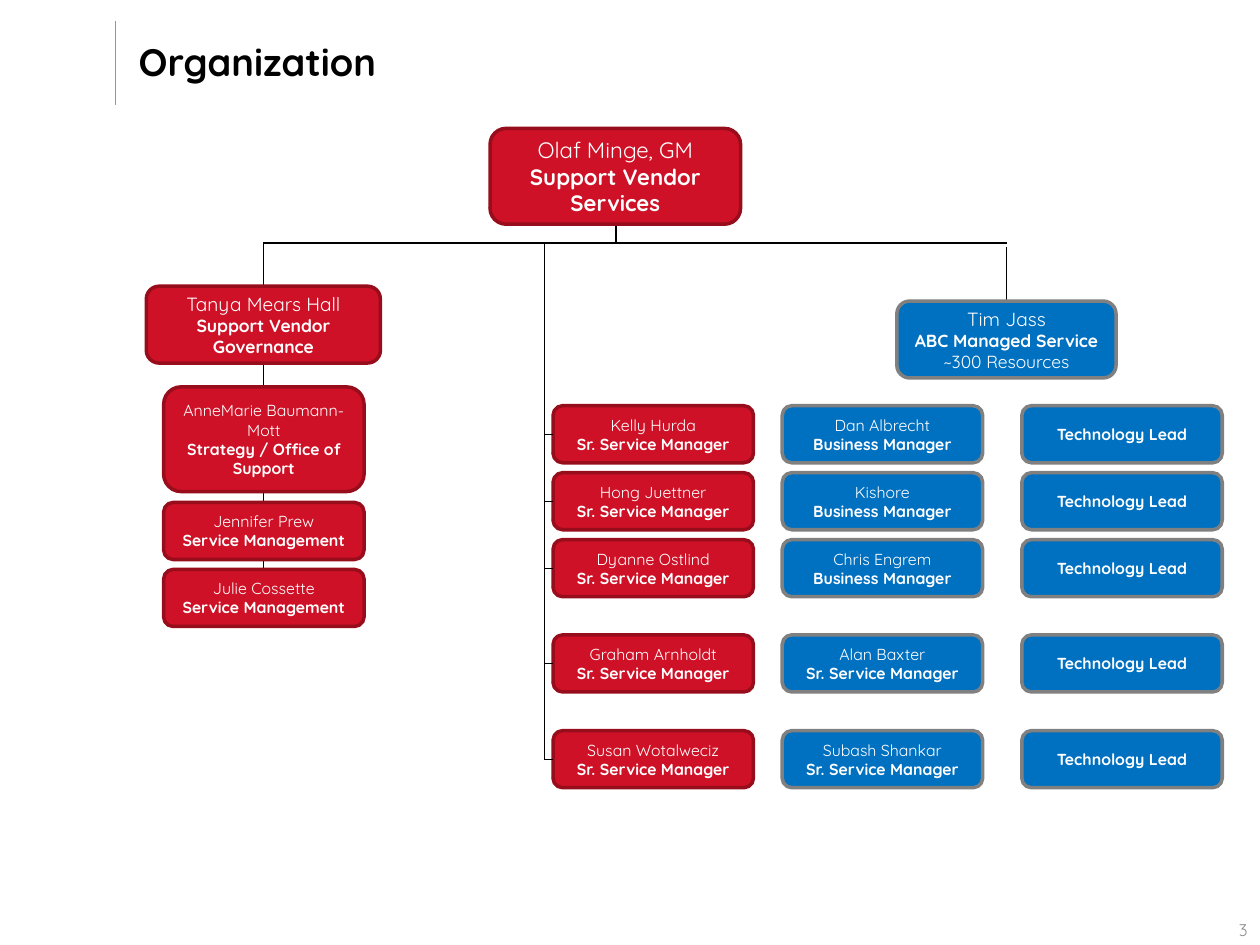
from dataclasses import dataclass
from pptx import Presentation
from pptx import util as u
from pptx.dml.color import RGBColor as Rgb
from pptx.enum import shapes, text
from pptx.oxml import parse_xml

NS = "http://schemas.openxmlformats.org/drawingml/2006/main"


@dataclass(frozen=True)
class Theme:
    font: str = "Quicksand"
    red: tuple = ("CE1126", "980D1C")
    blue: tuple = ("0070C0", "808080")
    black: str = "000000"
    white: str = "FFFFFF"
    rule: str = "969696"
    page: str = "8C8C8C"
    title: float = 21.8
    top: float = 12.7
    lead: float = 10.9
    role: float = 10
    body: float = 9.1
    foot: float = 9.6


T = Theme()
CARD = (4.04, 1.15)
STAFF = 3.3
COLS = (11.15, 15.77, 20.6)
ROWS = (8.18, 9.53, 10.88, 12.8, 14.73)
HUB, SPINE, LEFT, RIGHT, BAR = 12.42, 10.97, 5.31, 20.29, 4.9
FRAME = {
    "word_wrap": True,
    "auto_size": text.MSO_AUTO_SIZE.NONE,
    "vertical_anchor": text.MSO_ANCHOR.MIDDLE,
    "margin_top": 0,
    "margin_bottom": 0,
}
TEAM = (
    ("Kelly Hurda", "Dan Albrecht", "Business Manager"),
    ("Hong Juettner", "Kishore", "Business Manager"),
    ("Dyanne Ostlind", "Chris Engrem", "Business Manager"),
    ("Graham Arnholdt", "Alan Baxter", "Sr. Service Manager"),
    ("Susan Wotalweciz", "Subash Shankar", "Sr. Service Manager"),
)


def put(item, vals):
    for key, val in vals.items():
        setattr(item, key, val)


def cms(*vals):
    return [u.Cm(val) for val in vals]


def write(frame, lines, color, align):
    put(frame, FRAME)
    for i, (words, size, bold) in enumerate(lines):
        para = frame.add_paragraph() if i else frame.paragraphs[0]
        para.alignment = align
        run = para.add_run()
        run.text = words
        put(run.font, {"name": T.font, "size": u.Pt(size), "bold": bold})
        run.font.color.rgb = Rgb.from_string(color)


def head(slide, words):
    title = slide.shapes.title
    spot = cms(2.54, 0.64, 20.96, 1.19)
    put(title, dict(zip(("left", "top", "width", "height"), spot)))
    write(title.text_frame, [(words, T.title, True)], T.black, text.PP_ALIGN.LEFT)


def page(slide, words):
    box = slide.shapes.add_textbox(*cms(24.33, 18.42, 1.07, 0.64))
    write(box.text_frame, [(words, T.foot, False)], T.page, text.PP_ALIGN.RIGHT)


def card(slide, spot, look, lines):
    box = slide.shapes.add_shape(shapes.MSO_SHAPE.ROUNDED_RECTANGLE, *cms(*spot))
    box.shadow.inherit = False
    box.fill.solid()
    box.fill.fore_color.rgb = Rgb.from_string(look[0])
    box.line.color.rgb = Rgb.from_string(look[1])
    box.line.width = u.Pt(2)
    write(box.text_frame, lines, T.white, text.PP_ALIGN.CENTER)


def link(slide, ends, color=T.black, width=0.75):
    line = slide.shapes.add_connector(shapes.MSO_CONNECTOR.STRAIGHT, *cms(*ends))
    line.line.color.rgb = Rgb.from_string(color)
    line.line.width = u.Pt(width)
    line._element.spPr.append(parse_xml(f'<a:effectLst xmlns:a="{NS}"/>'))


def pair(name, role):
    return [(name, T.body, False), (role, T.body, True)]


def leads(slide):
    card(slide, (9.88, 2.59, 5.05, 1.93), T.red,
         [("Olaf Minge, GM", T.top, False),
          ("Support Vendor Services", T.top, True)])
    card(slide, (2.95, 5.77, 4.72, 1.55), T.red,
         [("Tanya Mears Hall", T.lead, False),
          ("Support Vendor Governance", T.role, True)])
    card(slide, (18.08, 6.07, 4.42, 1.55), T.blue,
         [("Tim Jass", T.lead, False),
          ("ABC Managed Service", T.role, True),
          ("~300 Resources", T.role, False)])


def staff(slide):
    wide, high = CARD
    card(slide, (STAFF, 7.8, wide, 2.11), T.red,
         pair("AnneMarie Baumann-Mott", "Strategy / Office of Support"))
    for top, name in ((10.13, "Jennifer Prew"), (11.48, "Julie Cossette")):
        card(slide, (STAFF, top, wide, high), T.red,
             pair(name, "Service Management"))


def team(slide):
    for top, (boss, peer, role) in zip(ROWS, TEAM):
        cells = (
            (T.red, pair(boss, "Sr. Service Manager")),
            (T.blue, pair(peer, role)),
            (T.blue, [("Technology Lead", T.body, True)]),
        )
        for left, (look, lines) in zip(COLS, cells):
            card(slide, (left, top, *CARD), look, lines)
        mid = top + CARD[1] / 2
        link(slide, (SPINE, mid, COLS[0], mid))


def links(slide):
    link(slide, (HUB, 4.52, HUB, BAR))
    link(slide, (LEFT, BAR, RIGHT, BAR))
    link(slide, (RIGHT, 4.98, RIGHT, 6.07))
    link(slide, (SPINE, BAR, SPINE, ROWS[-1] + CARD[1] / 2))
    for top, end in ((BAR, 5.77), (7.32, 7.8), (9.91, 10.13), (11.28, 11.48)):
        link(slide, (LEFT, top, LEFT, end))


def main():
    deck = Presentation()
    put(deck, {"slide_width": u.Cm(25.4), "slide_height": u.Cm(19.05)})
    slide = deck.slides.add_slide(deck.slide_layouts[5])
    link(slide, (2.33, 0.43, 2.33, 2.11), T.rule, 1)
    head(slide, "Organization")
    page(slide, "3")
    links(slide)
    leads(slide)
    staff(slide)
    team(slide)
    deck.save("out.pptx")


if __name__ == "__main__":
    main()
